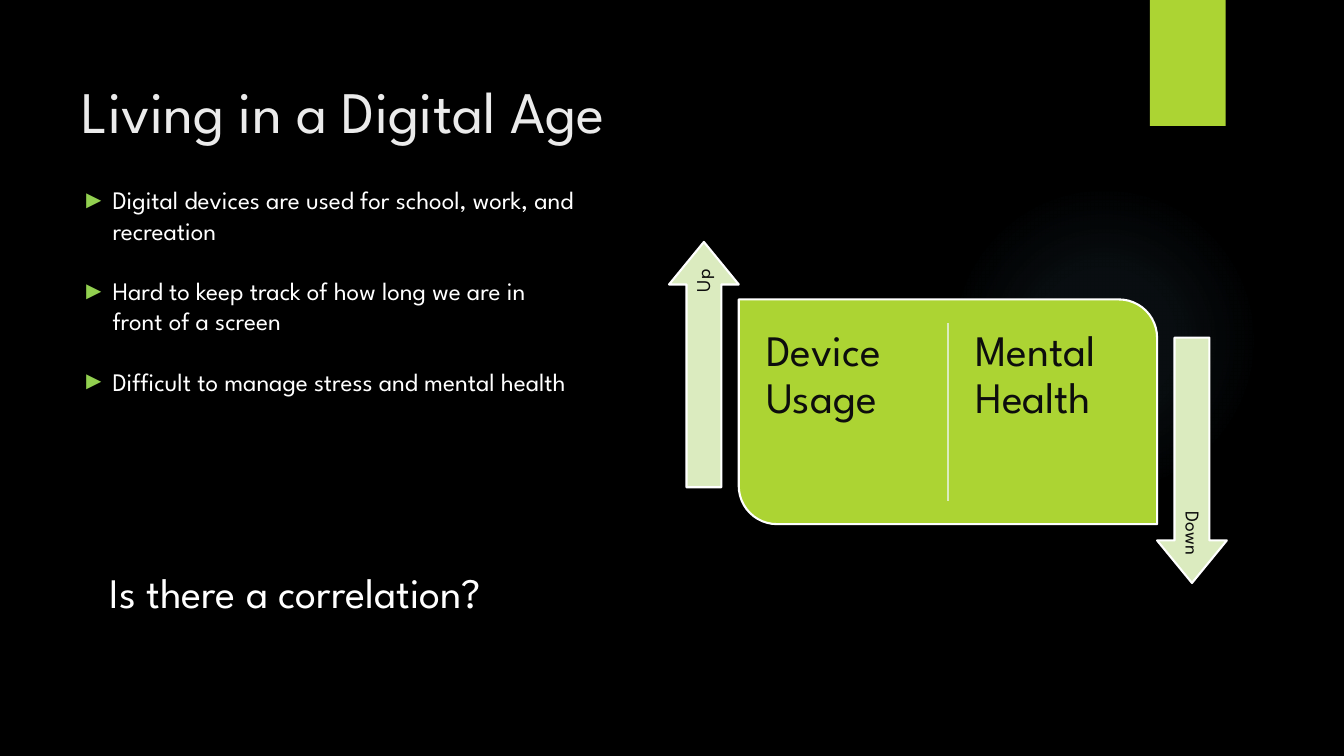
import pptx
import pptx.dml.color
import pptx.enum.shapes
import pptx.enum.text
import pptx.oxml
import pptx.oxml.ns
import pptx.util

RGBColor = pptx.dml.color.RGBColor
Shape = pptx.enum.shapes.MSO_SHAPE
Align = pptx.enum.text.PP_ALIGN
Anchor = pptx.enum.text.MSO_ANCHOR

BLACK = RGBColor(0x00, 0x00, 0x00)
WHITE = RGBColor(0xFF, 0xFF, 0xFF)
TITLE_GREY = RGBColor(0xEB, 0xEB, 0xEB)
INK = RGBColor(0x0D, 0x0D, 0x0D)
LIME = RGBColor(0xAC, 0xD4, 0x33)
PALE_LIME = RGBColor(0xDB, 0xEB, 0xBF)
BULLET_GREEN = RGBColor(0x92, 0xD0, 0x50)
GLOW_BLUE = RGBColor(0x7A, 0xC4, 0xF0)

FONT = "League Spartan"
COLUMNS, ROWS = 160, 90
CELL = pptx.util.Inches(7.5) / ROWS
NAMESPACE = pptx.oxml.ns.nsdecls("a")

# Card geometry, in grid cells
CARD_LEFT, CARD_TOP, CARD_WIDTH, CARD_HEIGHT = 87.95, 35.65, 49.8, 26.75
ARROW_LENGTH, ARROW_WIDTH = 29.2, 8.3


def cells(*counts):
    return [round(count * CELL) for count in counts]


def centred(x, y, width, height):
    return x - width / 2, y - height / 2, width, height


def apply(target, settings):
    for name, value in settings.items():
        setattr(target, name, value)


def add_block(page, kind, area, fill=None, outline=None, rotation=0, adjust=()):
    shape = page.shapes.add_shape(kind, *cells(*area))
    shape.shadow.inherit = False
    shape.rotation = rotation
    for index, value in enumerate(adjust):
        shape.adjustments[index] = value
    if fill is not None:
        shape.fill.solid()
        shape.fill.fore_color.rgb = fill
    if outline is None:
        shape.line.fill.background()
    else:
        shape.line.color.rgb = outline
        shape.line.width = pptx.util.Pt(1.5)
    return shape


def add_glow(page, area):
    glow = add_block(page, Shape.OVAL, area)
    stops = "".join(
        f'<a:gs pos="{place * 1000}"><a:srgbClr val="{GLOW_BLUE}">'
        f'<a:alpha val="{alpha * 1000}"/></a:srgbClr></a:gs>'
        for place, alpha in [(0, 7), (36, 6), (69, 0), (100, 0)])
    gradient = pptx.oxml.parse_xml(
        f'<a:gradFill {NAMESPACE}><a:gsLst>{stops}</a:gsLst><a:path path="circle">'
        '<a:fillToRect l="50000" t="50000" r="50000" b="50000"/></a:path></a:gradFill>')
    glow.element.spPr.find(pptx.oxml.ns.qn("a:prstGeom")).addnext(gradient)


def add_divider(page, x, top, bottom):
    straight = pptx.enum.shapes.MSO_CONNECTOR.STRAIGHT
    divider = page.shapes.add_connector(straight, *cells(x, top, x, bottom))
    divider.line.color.rgb = PALE_LIME
    divider.line.width = pptx.util.Pt(1.5)
    divider.element.spPr.append(pptx.oxml.parse_xml(f"<a:effectLst {NAMESPACE}/>"))


def add_bullet(para):
    properties = para._p.get_or_add_pPr()
    indent = pptx.util.Inches(0.31)
    properties.set("marL", str(indent))
    properties.set("indent", str(-indent))
    for markup in (f'<a:buClr {NAMESPACE}><a:srgbClr val="{BULLET_GREEN}"/></a:buClr>',
                   f'<a:buFont {NAMESPACE} typeface="Arial"/>',
                   f'<a:buChar {NAMESPACE} char="►"/>'):
        properties.append(pptx.oxml.parse_xml(markup))


def add_text(page, area, lines, size, colour, inset=None, rotation=0,
             anchor=Anchor.TOP, bullets=False, gap=0, para_format=None):
    box = page.shapes.add_textbox(*cells(*area))
    box.rotation = rotation
    frame = box.text_frame
    apply(frame, {"word_wrap": True, "vertical_anchor": anchor})
    if inset is not None:
        sides = ("left", "top", "right", "bottom")
        apply(frame, {f"margin_{side}": pptx.util.Inches(inset) for side in sides})
    for index, line in enumerate(lines):
        para = frame.paragraphs[0] if index == 0 else frame.add_paragraph()
        if bullets:
            add_bullet(para)
        if index and gap:
            para.space_before = pptx.util.Pt(gap)
        apply(para, para_format or {})
        span = para.add_run()
        span.text = line
        apply(span.font, {"name": FONT, "size": pptx.util.Pt(size)})
        span.font.color.rgb = colour


def add_trend_arrow(page, x, y, label, rotation, label_shift):
    add_block(page, Shape.RIGHT_ARROW, centred(x, y, ARROW_LENGTH, ARROW_WIDTH),
              PALE_LIME, WHITE, rotation, (0.5, 0.61))
    add_text(page, centred(x, y + label_shift, 26.6, 4.1), [label], 14, INK, 0.06,
             rotation, Anchor.MIDDLE,
             para_format={"alignment": Align.RIGHT, "line_spacing": 0.9})


def add_comparison(page):
    # Card with two halves
    add_block(page, Shape.ROUND_2_DIAG_RECTANGLE,
              (CARD_LEFT, CARD_TOP, CARD_WIDTH, CARD_HEIGHT), LIME, WHITE,
              adjust=(0, 0.17))
    half = CARD_WIDTH / 2
    add_divider(page, CARD_LEFT + half, 38.5, 59.65)
    for index, label in enumerate(["Device Usage", "Mental Health"]):
        area = (CARD_LEFT + 1.7 + index * half, CARD_TOP + 2, 21.6, 22.7)
        add_text(page, area, [label], 31, INK, 0.13,
                 para_format={"line_spacing": 0.9})

    # Arrows touching the card's sides
    reach = ARROW_WIDTH / 2
    add_trend_arrow(page, CARD_LEFT - reach, 43.4, "Up", 270, 1.25)
    add_trend_arrow(page, CARD_LEFT + CARD_WIDTH + reach, 54.8, "Down", 90, -1.25)


def main():
    deck = pptx.Presentation()
    apply(deck, dict(zip(("slide_width", "slide_height"), cells(COLUMNS, ROWS))))
    page = deck.slides.add_slide(deck.slide_layouts[6])
    page.background.fill.solid()
    page.background.fill.fore_color.rgb = BLACK

    # Backdrop and title
    add_glow(page, (112.9, 22, 37, 37))
    add_text(page, (8.5, 8.3, 84.1, 21.6), ["Living in a Digital Age"], 42, TITLE_GREY)
    add_block(page, Shape.RECTANGLE, (136.9, 0, 9, 15), LIME)

    add_comparison(page)

    # Points and closing question
    add_text(page, (8.5, 21.4, 61.2, 30.2), [
        "Digital devices are used for school, work, and recreation",
        "Hard to keep track of how long we are in front of a screen",
        "Difficult to manage stress and mental health",
    ], 18, WHITE, bullets=True, gap=21.6)
    add_text(page, (11.9, 66.8, 77.4, 7.3), ["Is there a correlation?"], 30, WHITE)

    deck.save("out.pptx")


if __name__ == "__main__":
    main()
